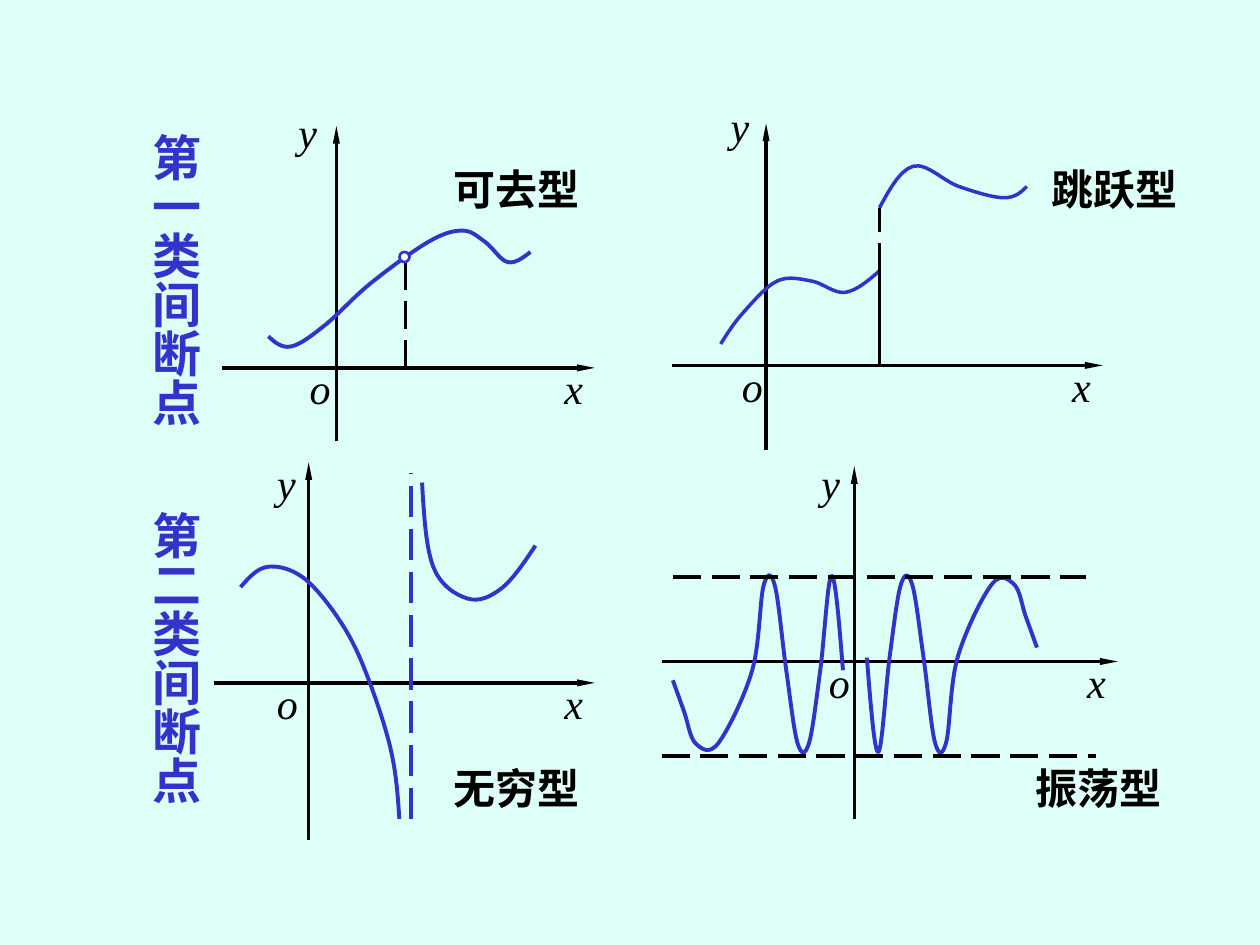
from dataclasses import dataclass

from lxml import etree
from pptx import Presentation
from pptx import util as u
from pptx.dml.color import RGBColor
from pptx.enum import dml, shapes, text
from pptx.oxml.ns import qn


@dataclass(frozen=True)
class Theme:
    paper: str = "DEFFF7"
    ink: str = "000000"
    accent: str = "3333CC"
    white: str = "FFFFFF"
    font: str = "Times New Roman"
    heading: int = 28
    label: int = 24
    axis_line: float = 2
    curve_line: float = 2.25
    ring_line: float = 1.5


THEME = Theme()
COLUMNS, ROWS = 10, 7.5
CELL = u.Inches(1)


def grid(*cells):
    """Turn grid columns and rows into slide lengths."""
    return [u.Emu(round(cell * CELL)) for cell in cells]


def add_text(parent, words, at, size=THEME.label, color=THEME.ink,
             bold=False, italic=False, vertical=False):
    box = parent.shapes.add_textbox(*grid(*at))
    frame = box.text_frame
    frame.word_wrap = False
    frame.auto_size = text.MSO_AUTO_SIZE.SHAPE_TO_FIT_TEXT
    if vertical:
        box.element.txBody.find(qn("a:bodyPr")).set("vert", "eaVert")
    span = frame.paragraphs[0].add_run()
    span.text = words
    span.font.name, span.font.size = THEME.font, u.Pt(size)
    span.font.bold, span.font.italic = bold, italic
    span.font.color.rgb = RGBColor.from_string(color)


def style_line(line, color, width):
    line.color.rgb = RGBColor.from_string(color)
    line.width = u.Pt(width)


def add_line(parent, start, end, color=THEME.ink, width=THEME.axis_line,
             dashed=False, arrow=False):
    line = parent.shapes.add_connector(shapes.MSO_CONNECTOR.STRAIGHT, *grid(*start, *end))
    style_line(line.line, color, width)
    if dashed:
        line.line.dash_style = dml.MSO_LINE.LONG_DASH
    if arrow:
        etree.SubElement(line.get_or_add_ln(), qn("a:tailEnd"),
                         type="triangle", w="sm", len="lg")
    etree.SubElement(line.element.spPr, qn("a:effectLst"))


def bezier_points(knots):
    """Control points and knots of a smooth curve: tangents follow the neighbours."""
    slopes = [tuple((b - a) / 6 for a, b in zip(before, after))
              for before, after in zip(knots, knots[2:])]
    before = [tuple(k - s for k, s in zip(p, d)) for p, d in zip(knots[1:], slopes)]
    after = [tuple(k + s for k, s in zip(p, d)) for p, d in zip(knots[1:], slopes)]

    def middle(a, b):
        return tuple((m + n) / 2 for m, n in zip(a, b))

    leaving = [middle(knots[0], before[0])] + after
    arriving = before + [middle(after[-1], knots[-1])]
    return [p for trio in zip(leaving, arriving, knots[1:]) for p in trio]


def add_curve(parent, knots, width=THEME.curve_line):
    builder = parent.shapes.build_freeform(*grid(*knots[0]))
    builder.add_line_segments([grid(*p) for p in bezier_points(knots)], close=False)
    curve = builder.convert_to_shape()
    # Join each three straight segments into one cubic segment
    segments = list(curve.element.iter(qn("a:lnTo")))
    for first in range(0, len(segments), 3):
        cubic = etree.Element(qn("a:cubicBezTo"))
        segments[first].addprevious(cubic)
        for segment in segments[first:first + 3]:
            cubic.append(segment[0])
            segment.getparent().remove(segment)
    curve.fill.background()
    curve.shadow.inherit = False
    style_line(curve.line, THEME.accent, width)


def add_ring(parent, at):
    ring = parent.shapes.add_shape(shapes.MSO_SHAPE.OVAL, *grid(*at))
    ring.shadow.inherit = False
    ring.fill.solid()
    ring.fill.fore_color.rgb = RGBColor.from_string(THEME.white)
    style_line(ring.line, THEME.accent, THEME.ring_line)


def add_axes(page, origin, x_span, y_span, o_left, y_label):
    """Group holding both axes and their letters; y_span runs upwards."""
    plot = page.shapes.add_group_shape()
    column, row = origin
    add_line(plot, (x_span[0], row), (x_span[1], row), arrow=True)
    add_line(plot, (column, y_span[0]), (column, y_span[1]), arrow=True)
    below = row - 0.09
    add_text(plot, "o", (o_left, below, 0.37, 0.5), italic=True)
    add_text(plot, "y", (*y_label, 0.35, 0.5), italic=True)
    add_text(plot, "x", (x_span[1] - 0.34, below, 0.35, 0.5), italic=True)
    return plot


def draw_removable(page):
    plot = add_axes(page, (2.67, 2.92), (1.76, 4.72), (3.5, 1), 2.36, (2.27, 0.8))
    add_curve(plot, [(2.13, 2.67), (2.31, 2.75), (2.58, 2.58), (2.94, 2.25), (3.4, 1.92),
                     (3.67, 1.83), (3.85, 1.92), (4.03, 2.08), (4.21, 2)])
    add_line(plot, (3.22, 2.08), (3.22, 2.92), dashed=True)
    add_ring(plot, (3.17, 2, 0.08, 0.08))


def draw_jump(page):
    plot = add_axes(page, (6.08, 2.9), (5.33, 8.75), (3.57, 0.98), 5.79, (5.7, 0.75))
    step, low, high = 6.98, 2.15, 1.65
    add_curve(plot, [(5.72, 2.73), (5.9, 2.48), (6.17, 2.23), (6.44, 2.23), (6.71, 2.32),
                     (step, low)], width=THEME.axis_line)
    add_line(plot, (step, low), (step, high), dashed=True)
    add_curve(plot, [(step, high), (7.25, 1.32), (7.61, 1.48), (7.97, 1.57), (8.15, 1.48)],
              width=THEME.axis_line)
    add_line(plot, (step, low), (step, 2.9))


def draw_infinite(page):
    plot = add_axes(page, (2.45, 5.42), (1.7, 4.72), (6.67, 3.67), 2.1, (2.1, 3.58))
    add_curve(plot, [(1.91, 4.66), (2.12, 4.5), (2.4, 4.58), (2.68, 4.9), (2.89, 5.3),
                     (3.1, 5.94), (3.17, 6.5)])
    add_line(plot, (3.26, 6.5), (3.26, 3.75), THEME.accent, THEME.curve_line, dashed=True)
    add_curve(plot, [(3.35, 3.83), (3.44, 4.5), (3.71, 4.75), (3.98, 4.67), (4.25, 4.33)])


def draw_oscillating(page):
    plot = add_axes(page, (6.78, 5.25), (5.25, 8.87), (6.5, 3.7), 6.48, (6.42, 3.58))
    # The wave left of the axis is the right one turned about the centre
    centre = (6.785, 5.27)
    right = [(6.88, 5.22), (6.97, 5.97), (7.06, 5.22), (7.15, 4.64), (7.24, 4.64),
             (7.33, 5.22), (7.42, 5.89), (7.51, 5.89), (7.6, 5.22), (7.87, 4.64),
             (8.05, 4.64), (8.14, 4.89), (8.23, 5.14)]
    left = [tuple(2 * c - k for c, k in zip(centre, knot)) for knot in right]
    add_curve(plot, right)
    add_curve(plot, left)
    add_line(plot, (5.25, 6), (8.7, 6), dashed=True)
    add_line(plot, (5.34, 4.58), (8.62, 4.58), dashed=True)


def main():
    deck = Presentation()
    deck.slide_width, deck.slide_height = grid(COLUMNS, ROWS)
    page = deck.slides.add_slide(deck.slide_layouts[6])
    page.background.fill.solid()
    page.background.fill.fore_color.rgb = RGBColor.from_string(THEME.paper)

    # Row headings
    for words, row in (("第一类间断点", 0.96), ("第二类间断点", 3.96)):
        add_text(page, words, (1, row, 0.67, 2.45), size=THEME.heading,
                 color=THEME.accent, bold=True, vertical=True)

    # Four plots with their captions
    for draw, words, column, row in (
            (draw_removable, "可去型", 3.5, 1.25), (draw_jump, "跳跃型", 8.25, 1.25),
            (draw_infinite, "无穷型", 3.5, 6), (draw_oscillating, "振荡型", 8.12, 6)):
        draw(page)
        add_text(page, words, (column, row, 1.21, 0.5), bold=True)

    deck.save("out.pptx")


if __name__ == "__main__":
    main()
